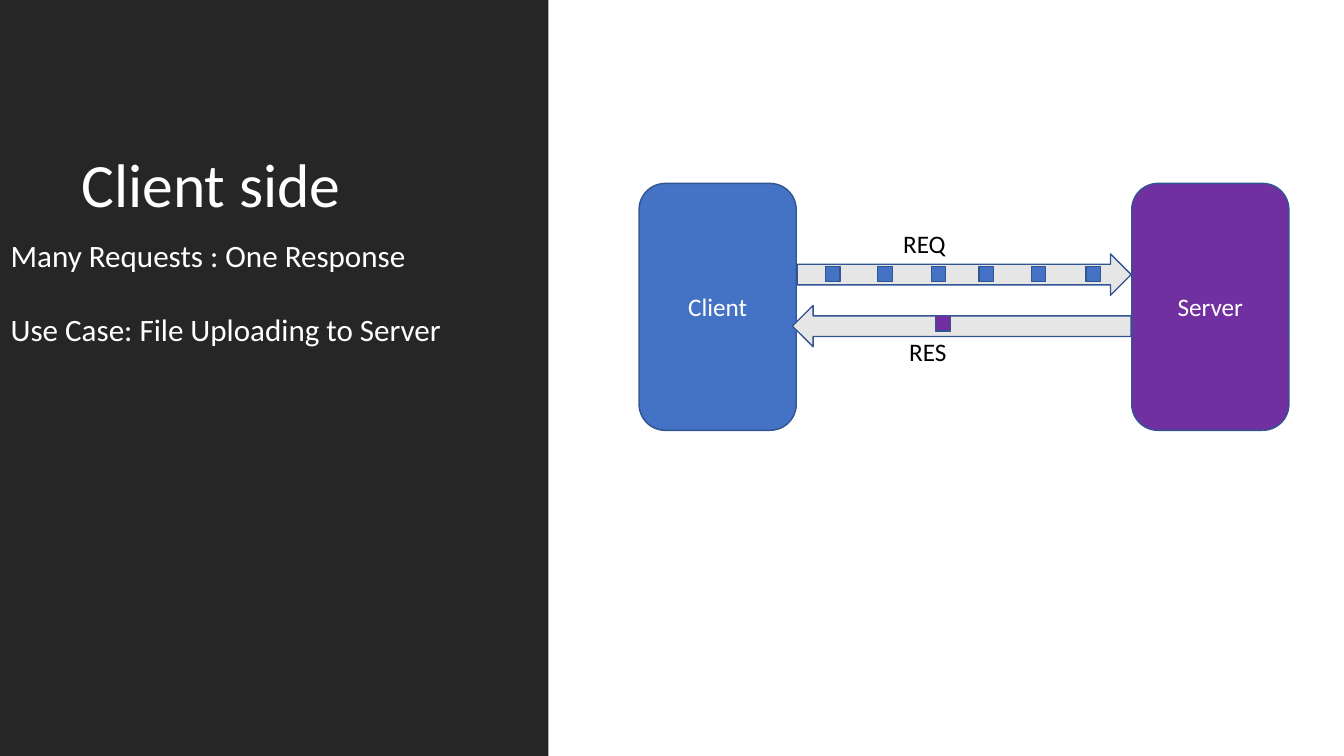
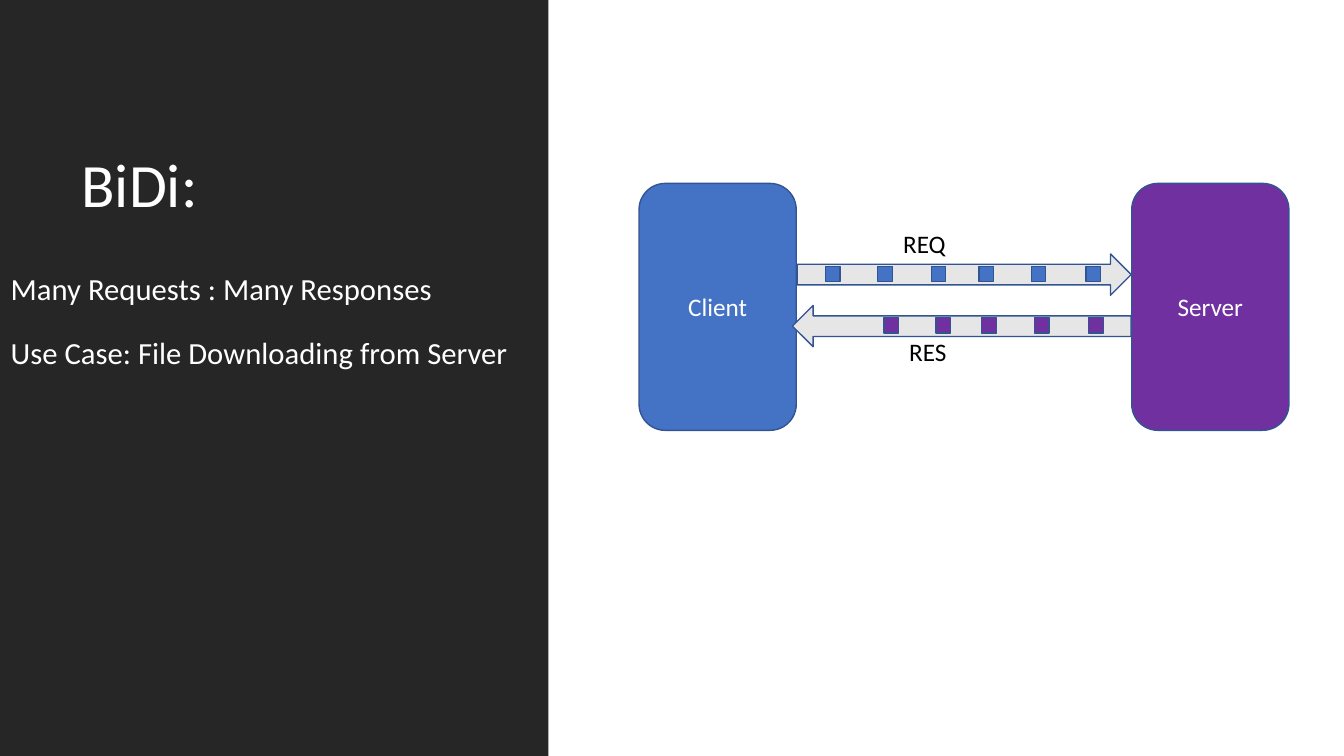
from pptx import Presentation
from pptx.dml.color import RGBColor
from pptx.enum.shapes import MSO_SHAPE
from pptx.enum.text import MSO_ANCHOR, PP_ALIGN
from pptx.util import Pt

RECT, ROUND, ARROW = MSO_SHAPE.RECTANGLE, MSO_SHAPE.ROUNDED_RECTANGLE, MSO_SHAPE.RIGHT_ARROW
TOP, MIDDLE, BOTTOM = MSO_ANCHOR.TOP, MSO_ANCHOR.MIDDLE, MSO_ANCHOR.BOTTOM
LEFT, CENTER = PP_ALIGN.LEFT, PP_ALIGN.CENTER

WHITE = RGBColor(0xFF, 0xFF, 0xFF)
BLACK = RGBColor(0x00, 0x00, 0x00)
DARK = RGBColor(0x26, 0x26, 0x26)
GREY = RGBColor(0xE7, 0xE6, 0xE6)
BLUE = RGBColor(0x44, 0x72, 0xC4)
PURPLE = RGBColor(0x70, 0x30, 0xA0)
OUTLINE = RGBColor(0x32, 0x54, 0x91)
FONT = "Calibri"


class Deck:
    def __init__(self):
        self.prs = Presentation()
        self.prs.slide_width, self.prs.slide_height = Pt(960), Pt(540)
        self.s = None

    def new_slide(self):
        self.s = self.prs.slides.add_slide(self.prs.slide_layouts[6])

    def fill_text(self, tf, lines, size, color, align=LEFT, spacing=1.0, gap=0):
        tf.word_wrap = True
        tf.text = "\n".join(lines)
        for i, p in enumerate(tf.paragraphs):
            p.alignment = align
            p.line_spacing = spacing
            p.space_before = Pt(gap if i else 0)
            for r in p.runs:
                r.font.name, r.font.size = FONT, Pt(size)
                r.font.color.rgb = color

    def shape(self, kind, x, y, w, h, fill, outlined=True):
        sp = self.s.shapes.add_shape(kind, Pt(x), Pt(y), Pt(w), Pt(h))
        sp.shadow.inherit = False
        sp.fill.solid()
        sp.fill.fore_color.rgb = fill
        if outlined:
            sp.line.color.rgb = OUTLINE
            sp.line.width = Pt(1)
        else:
            sp.line.fill.background()
        return sp

    def text(self, x, y, w, h, lines, size, color, anchor=TOP, bottom=3.6, **style):
        tf = self.s.shapes.add_textbox(Pt(x), Pt(y), Pt(w), Pt(h)).text_frame
        tf.vertical_anchor = anchor
        tf.margin_bottom = Pt(bottom)
        self.fill_text(tf, lines, size, color, **style)

    def node(self, x, label, fill):
        sp = self.shape(ROUND, x, 131, 112.3, 176.4, fill)
        sp.text_frame.vertical_anchor = MIDDLE
        self.fill_text(sp.text_frame, [label], 18, WHITE, align=CENTER)

    def messages(self, xs, y, fill):
        for x in xs:
            self.shape(RECT, x, y, 10.4, 11, fill)

    def stream_slide(self, title, lines, size, gap, bottom, responses, response_y):
        self.new_slide()
        # Request arrow and dark side panel
        self.shape(ARROW, 569.5, 181.4, 238.5, 29.5, GREY)
        self.shape(RECT, 0, 0, 391.7, 540, DARK, outlined=False)
        self.text(51.1, 50.4, 265.7, 110.9, [title], 44, WHITE, BOTTOM, spacing=0.9)
        # Both ends and the response arrow
        self.node(456.5, "Client", BLUE)
        self.node(808.4, "Server", PURPLE)
        self.shape(ARROW, 566, 218.2, 242, 29.5, GREY).rotation = 180
        # Messages in transit
        self.messages(REQUESTS, 190.2, BLUE)
        self.messages(responses, response_y, PURPLE)
        # Arrow labels and description
        self.text(638, 159.8, 51.1, 29, ["REQ"], 18, BLACK)
        self.text(642.3, 236.9, 74.2, 29, ["RES"], 18, BLACK)
        self.text(0.5, 166.3, 389.5, 118.8, lines, size, WHITE, BOTTOM, bottom,
                  spacing=0.7, gap=gap)


REQUESTS = [589.7, 627, 665.2, 699.2, 736.6, 775.6]

deck = Deck()
deck.stream_slide("Client side",
                  ["Many Requests : One Response", "Use Case: File Uploading to Server"],
                  22.2, 33.8, 37.5, [668.4], 225.4)
deck.stream_slide("BiDi:",
                  ["Many Requests : Many Responses", "Use Case: File Downloading from Server"],
                  21.9, 27, 21, [631.3, 668.5, 701.3, 739, 777.7], 227)
deck.prs.save("out.pptx")
